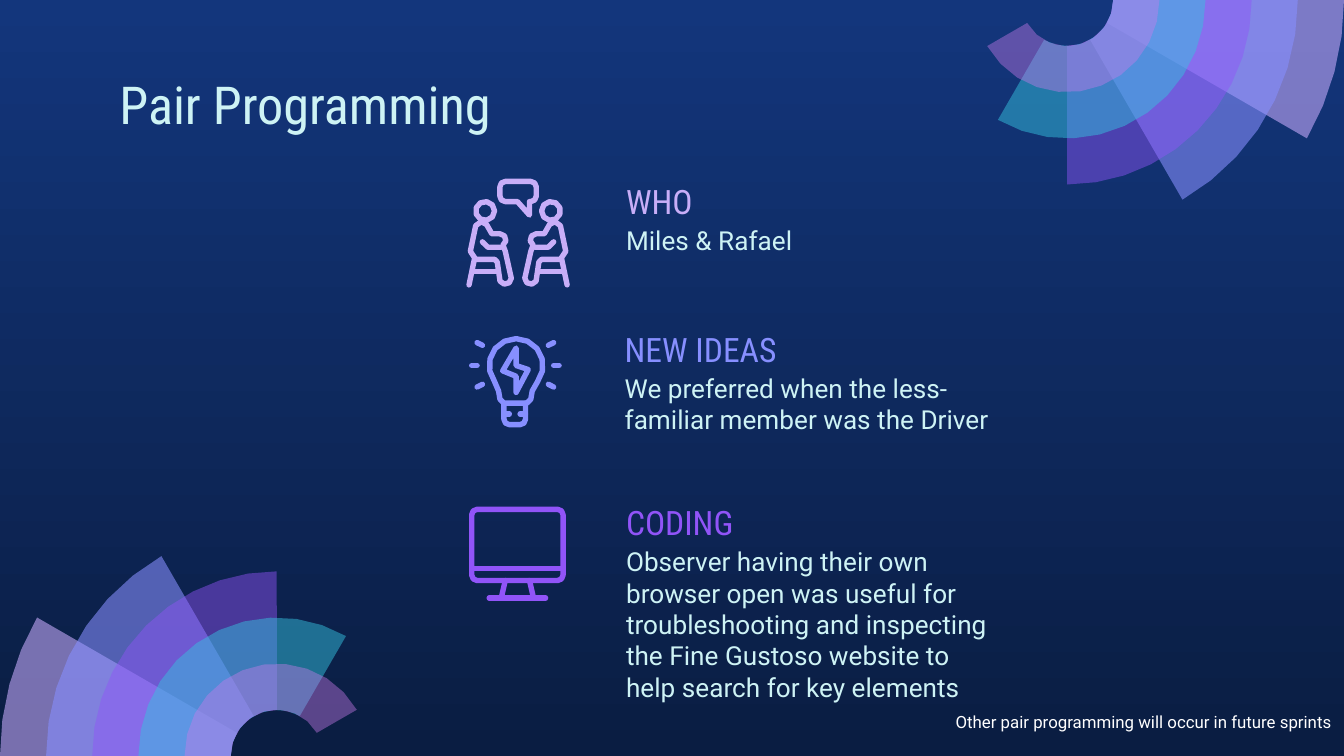
from math import acos, ceil, cos, degrees, radians, sin

from pptx import Presentation
from pptx.dml.color import RGBColor
from pptx.enum.text import MSO_ANCHOR as Anchor, PP_ALIGN as Align
from pptx.oxml.ns import qn
from pptx.util import Inches, Pt
from lxml.etree import SubElement

NAVY_TOP = RGBColor(0x13, 0x36, 0x7C)
NAVY_BOTTOM = RGBColor(0x0A, 0x1D, 0x42)
ICE = RGBColor(0xCE, 0xF3, 0xF5)
WHITE = RGBColor(0xFF, 0xFF, 0xFF)
LILAC = RGBColor(0xC8, 0xAE, 0xF8)
PALE_LILAC = RGBColor(0xC8, 0xAC, 0xFD)
PERIWINKLE = RGBColor(0x87, 0x8F, 0xFF)
VIOLET = RGBColor(0x91, 0x54, 0xF8)
CYAN = RGBColor(0x35, 0xC2, 0xDF)
ORCHID = RGBColor(0xCA, 0x7B, 0xEB)

deck = Presentation()
deck.slide_width, deck.slide_height = Inches(10), Inches(5.625)
slide = deck.slides.add_slide(deck.slide_layouts[6])


def arc(cx, cy, radius, start, end):
    """As few points along an arc as keep it within 0.005 inch of round."""
    widest = 2 * degrees(acos(1 - 0.005 / radius))
    steps = ceil(abs(end - start) / widest)
    angles = [radians(start + (end - start) * i / steps) for i in range(steps + 1)]
    return [(cx + radius * cos(a), cy + radius * sin(a)) for a in angles]


def draw(outlines, color, opacity=None):
    """One freeform: filled when an opacity is given, otherwise line art."""
    pen = None
    for outline in outlines:
        points = [(Inches(x), Inches(y)) for x, y in outline]
        if pen is None:
            pen = slide.shapes.build_freeform(*points[0])
        else:
            pen.move_to(*points[0])
        pen.add_line_segments(points[1:], close=False)
    figure = pen.convert_to_shape()
    figure.shadow.inherit = False
    if opacity:
        figure.fill.solid()
        figure.fill.fore_color.rgb = color
        color_xml = figure.fill._xPr.find(qn("a:solidFill"))[0]
        SubElement(color_xml, qn("a:alpha")).set("val", str(opacity * 1000))
        figure.line.fill.background()
    else:
        figure.fill.background()
        figure.line.color.rgb = color
        figure.line.width = Inches(0.04)
        stroke = figure.line._get_or_add_ln()
        stroke.set("cap", "rnd")
        SubElement(stroke, qn("a:round"))


# Background
backdrop = slide.background.fill
backdrop.gradient()
backdrop.gradient_angle = 270
for stop, color in zip(backdrop.gradient_stops, (NAVY_TOP, NAVY_BOTTOM)):
    stop.color.rgb = color

# Corner fans: each ring is one step smaller and sweeps 30 degrees further
rings = [(PALE_LILAC, 58), (PERIWINKLE, 58), (VIOLET, 46), (CYAN, 49), (ORCHID, 42)]
hub = 2.06 / 6
for cx, cy, start in ((2.06, 5.625, 180), (7.94, 0, 0)):
    for i, (color, opacity) in enumerate(rings):
        end = start + 30 * (i + 1)
        sector = arc(cx, cy, hub * (6 - i), start, end) + arc(cx, cy, hub, end, start)
        draw([sector + sector[:1]], color, opacity)

# Icon: two people talking, the second one mirrored
body = [(3.58, 1.65), (3.62, 1.67), (3.66, 1.74), *arc(3.72, 1.785, 0.045, -90, 60),
        (3.76, 1.87), (3.8, 2.05), *arc(3.76, 2.07, 0.045, 0, 150),
        (3.7, 1.95), (3.68, 1.93), (3.54, 1.93), (3.5, 1.87),
        (3.54, 1.68), (3.58, 1.65)]
forearm = [(3.59, 1.8), (3.63, 1.84), (3.73, 1.84)]
stool_leg = [(3.53, 1.93), (3.49, 2.12)]
stool_bar = [(3.52, 2.02), (3.69, 2.02)]
person = [arc(3.61, 1.57, 0.07, 0, 360), body, forearm, stool_leg, stool_bar]
draw(person, LILAC)
draw([[(7.71 - x, y) for x, y in part] for part in person], LILAC)
bubble = [(3.94, 1.5), (3.94, 1.6), (3.85, 1.5), *arc(3.76, 1.46, 0.04, 90, 180),
          *arc(3.76, 1.39, 0.04, 180, 270), *arc(3.95, 1.39, 0.04, 270, 360),
          *arc(3.95, 1.46, 0.04, 0, 90), (3.94, 1.5)]
draw([bubble], LILAC)

# Icon: light bulb
glass = [*arc(3.84, 2.72, 0.2, 143, 397), (3.96, 2.91), (3.95, 2.97),
         (3.92, 3), (3.75, 3), (3.72, 2.97), (3.71, 2.91)]
base = [(3.75, 3), *arc(3.79, 3.12, 0.04, 180, 90),
        *arc(3.87, 3.12, 0.04, 90, 0), (3.91, 3)]
tabs = [[(3.75, 3.08), (3.79, 3.08)], [(3.87, 3.08), (3.91, 3.08)]]
draw([glass + glass[:1], base, *tabs], PERIWINKLE)
bolt = [(3.84, 2.59), (3.74, 2.76), (3.84, 2.8), (3.84, 2.92), (3.93, 2.75), (3.84, 2.72)]
draw([bolt + bolt[:1]], PERIWINKLE)
rays = [[(4.08, 2.57), (4.12, 2.55)], [(4.12, 2.72), (4.16, 2.72)],
        [(4.08, 2.86), (4.12, 2.88)]]
draw(rays, PERIWINKLE)
draw([[(7.67 - x, y) for x, y in ray] for ray in rays], PERIWINKLE)

# Icon: monitor
screen = [*arc(3.55, 3.83, 0.04, 180, 270), *arc(4.15, 3.83, 0.04, 270, 360),
          *arc(4.15, 4.28, 0.04, 0, 90), *arc(3.55, 4.28, 0.04, 90, 180)]
draw([screen + screen[:1], [(3.51, 4.23), (4.19, 4.23)],
      [(3.76, 4.32), (3.73, 4.45)], [(3.94, 4.32), (3.97, 4.45)],
      [(3.64, 4.45), (4.06, 4.45)]], VIOLET)

# Text: each style is a set of font values
title = {"name": "Roboto Condensed", "size": Pt(28)}
heading = {"name": "Roboto Condensed", "size": Pt(18)}
detail = {"name": "Roboto", "size": Pt(14)}
footnote = {"name": "Roboto", "size": Pt(9)}
texts = [
    ("Pair Programming", (0.79, 0.44, 8.43, 0.63), title, ICE),
    ("WHO", (4.56, 1.28, 2.53, 0.43), heading, LILAC),
    ("Miles & Rafael", (4.56, 1.57, 2.53, 0.44), detail, ICE),
    ("NEW IDEAS", (4.55, 2.38, 2.53, 0.43), heading, PERIWINKLE),
    ("We preferred when the less-familiar member was the Driver",
     (4.55, 2.67, 3.03, 1.14), detail, ICE),
    ("CODING", (4.56, 3.67, 2.53, 0.43), heading, VIOLET),
    ("Observer having their own browser open was useful for troubleshooting and "
     "inspecting the Fine Gustoso website to help search for key elements",
     (4.56, 3.96, 3.02, 1.62), detail, ICE),
    ("Other pair programming will occur in future sprints",
     (4.08, 5.22, 5.92, 0.35), footnote, WHITE),
]
for words, place, style, color in texts:
    frame = slide.shapes.add_textbox(*map(Inches, place)).text_frame
    layout = {"word_wrap": True,
              "vertical_anchor": Anchor.MIDDLE if style is heading else Anchor.TOP}
    for side in ("left", "top", "right", "bottom"):
        layout["margin_" + side] = Inches(0.1)
    for name, value in layout.items():
        setattr(frame, name, value)
    line = frame.paragraphs[0]
    line.alignment = Align.RIGHT if style is footnote else Align.LEFT
    run = line.add_run()
    run.text = words
    for name, value in style.items():
        setattr(run.font, name, value)
    run.font.color.rgb = color

deck.save("out.pptx")
